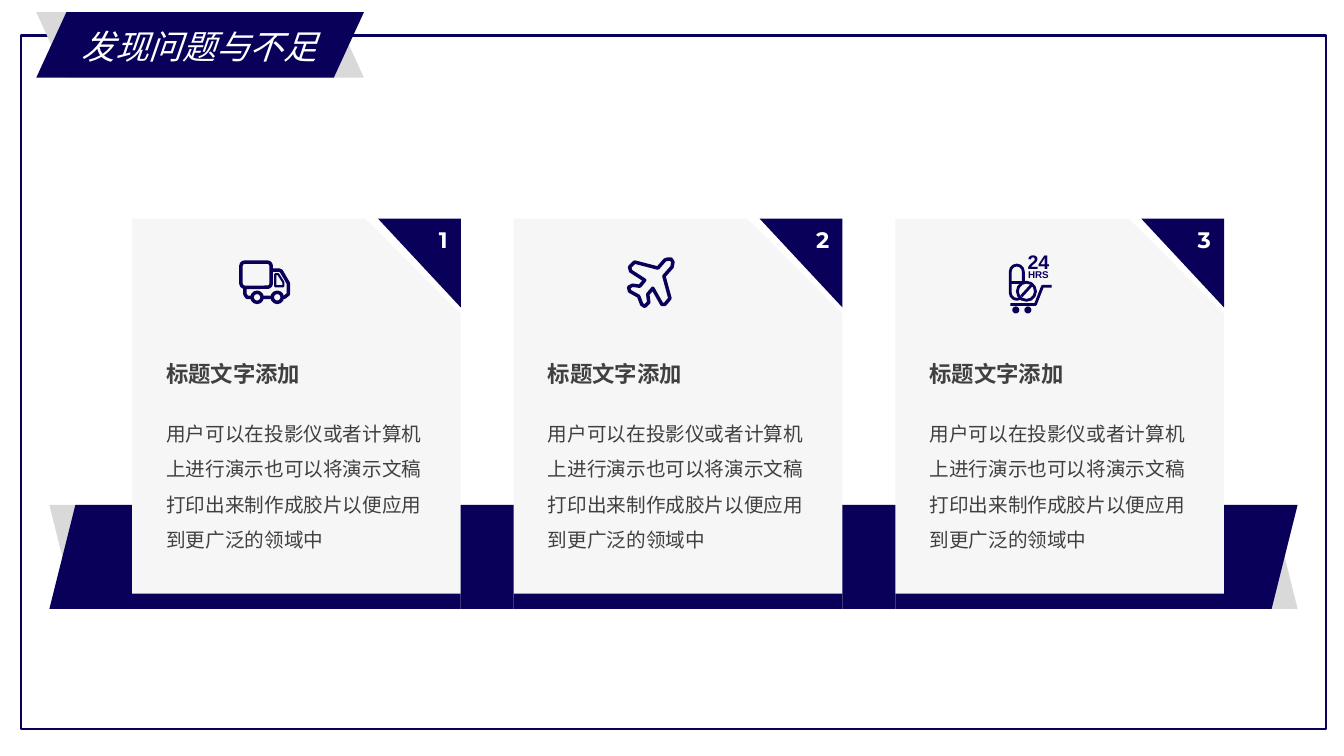
from lxml.etree import SubElement
from pptx import Presentation
from pptx.dml.color import RGBColor
from pptx.enum.shapes import MSO_SHAPE as Kind
from pptx.enum.text import MSO_ANCHOR as Anchor, MSO_AUTO_SIZE as Auto, PP_ALIGN as Align
from pptx.oxml.ns import qn
from pptx.util import Inches, Pt

NAVY = RGBColor(0x08, 0x00, 0x59)
GREY = RGBColor(0xD9, 0xD9, 0xD9)
PALE = RGBColor(0xF6, 0xF6, 0xF6)
DARK = RGBColor(0x40, 0x40, 0x40)
WHITE = RGBColor(0xFF, 0xFF, 0xFF)

HEAD = "标题文字添加"
BODY = "用户可以在投影仪或者计算机上进行演示也可以将演示文稿打印出来制作成胶片以便应用到更广泛的领域中"
SANS = "Noto Sans CJK SC"


def paint(shape, fill=None, line=None, width=1):
    shape.shadow.inherit = False
    if fill is None:
        shape.fill.background()
    else:
        shape.fill.solid()
        shape.fill.fore_color.rgb = fill
    if line is None:
        shape.line.fill.background()
    else:
        shape.line.color.rgb = line
        shape.line.width = Pt(width)
    return shape


def block(shapes, kind, x, y, w, h, adj=None, flip=False, **look):
    shape = shapes.add_shape(kind, Inches(x), Inches(y), Inches(w), Inches(h))
    if adj is not None:
        shape.adjustments[0] = adj
    if flip:
        shape._element.spPr.get_or_add_xfrm().set("flipH", "1")
    return paint(shape, **look)


def trace(shapes, x, y, spots, close=True, **look):
    """Draw straight lines through spots measured from (x, y)."""
    first, *rest = [(Inches(x + dx), Inches(y + dy)) for dx, dy in spots]
    pen = shapes.build_freeform(*first)
    pen.add_line_segments(rest, close=close)
    return paint(pen.convert_to_shape(), **look)


def write(shape, text, size, font=SANS, color=DARK, bold=False, italic=False,
          align=Align.LEFT, space=1.0, wrap=True, pad=(0.1, 0.05)):
    frame = shape.text_frame
    frame.word_wrap = wrap
    frame.auto_size = Auto.NONE
    frame.vertical_anchor = Anchor.TOP
    frame.margin_left = frame.margin_right = Inches(pad[0])
    frame.margin_top = frame.margin_bottom = Inches(pad[1])
    para = frame.paragraphs[0]
    para.alignment = align
    para.line_spacing = space
    run = para.add_run()
    run.text = text
    face = run.font
    face.size, face.bold, face.italic = Pt(size), bold, italic
    face.color.rgb = color
    face.name = font
    SubElement(face._element, qn("a:ea")).set("typeface", font)


def label(shapes, x, y, w, h, text, size, **style):
    box = shapes.add_textbox(Inches(x), Inches(y), Inches(w), Inches(h))
    write(box, text, size, **style)


def ribbon(shapes, x, y, w, h, adj):
    for fill, flip in ((GREY, True), (NAVY, False)):
        block(shapes, Kind.PARALLELOGRAM, x, y, w, h, adj, flip, fill=fill)


def header(slide, x, y, w, h):
    ribbon(slide.shapes, x, y, w, h, 0.46)
    title = slide.shapes.title
    title.left, title.top = Inches(x + 0.35), Inches(y + 0.09)
    title.width, title.height = Inches(2.56), Inches(0.5)
    write(title, "发现问题与不足", 24, font="Arial", color=WHITE, italic=True, wrap=False)
    # Bring the title in front of its ribbon
    slide.shapes._spTree.append(title._element)


def truck(shapes, x, y):
    pen = dict(line=NAVY, width=2.5)
    block(shapes, Kind.ROUNDED_RECTANGLE, x + 0.02, y + 0.02, 0.3, 0.25, 0.15, **pen)
    # Chassis, cab and window
    trace(shapes, x, y, [(0.06, 0.27), (0.06, 0.34), (0.08, 0.37), (0.45, 0.37),
                         (0.49, 0.34), (0.49, 0.23), (0.42, 0.11), (0.4, 0.1),
                         (0.32, 0.1)], close=False, **pen)
    trace(shapes, x, y, [(0.36, 0.14), (0.39, 0.14), (0.44, 0.22), (0.44, 0.26),
                         (0.36, 0.26)], line=NAVY, width=1.5)
    for dx in (0.13, 0.33):
        block(shapes, Kind.OVAL, x + dx, y + 0.32, 0.1, 0.1, fill=PALE, **pen)


def plane(shapes, x, y):
    trace(shapes, x, y, [
        (0.44, 0.02), (0.46, 0.05), (0.45, 0.1), (0.37, 0.19), (0.43, 0.41),
        (0.38, 0.47), (0.35, 0.47), (0.26, 0.31), (0.21, 0.37), (0.22, 0.45),
        (0.18, 0.49), (0.15, 0.47), (0.12, 0.39), (0.03, 0.34), (0.02, 0.3),
        (0.06, 0.28), (0.13, 0.29), (0.18, 0.23), (0.04, 0.14), (0.03, 0.1),
        (0.08, 0.05), (0.31, 0.11), (0.38, 0.03), (0.41, 0.02)], line=NAVY, width=2.5)


def cart(shapes, x, y):
    pen = dict(line=NAVY, width=2)
    # Pill and tablet
    block(shapes, Kind.ROUNDED_RECTANGLE, x + 0.02, y + 0.11, 0.13, 0.34, 0.5, **pen)
    trace(shapes, x, y, [(0.02, 0.28), (0.15, 0.28)], close=False, **pen)
    block(shapes, Kind.OVAL, x + 0.09, y + 0.28, 0.18, 0.18, fill=PALE, **pen)
    trace(shapes, x, y, [(0.13, 0.42), (0.23, 0.31)], close=False, **pen)
    # Rail and wheels
    trace(shapes, x, y, [(0.02, 0.5), (0.27, 0.5), (0.34, 0.32), (0.43, 0.32)],
          close=False, **pen)
    for dx in (0.04, 0.16):
        block(shapes, Kind.OVAL, x + dx, y + 0.52, 0.07, 0.07, fill=NAVY)
    for text, size, dy in (("24", 14, -0.04), ("HRS", 7, 0.15)):
        label(shapes, x + 0.15, y + dy, 0.3, 0.2, text, size, font="Arial", color=NAVY,
              bold=True, align=Align.CENTER, wrap=False, pad=(0, 0))


def card(shapes, x, y, w, h, num, icon, dx, dy):
    block(shapes, Kind.SNIP_1_RECTANGLE, x, y, w, h, 0.29, fill=PALE)
    block(shapes, Kind.RECTANGLE, x, y + h - 0.15, w, 0.15, fill=NAVY)
    # Numbered corner
    flag = trace(shapes, x + w, y, [(0, 0), (-0.82, 0), (0, 0.88)], fill=NAVY)
    write(flag, str(num), 16, font="Montserrat", color=WHITE, bold=True,
          align=Align.RIGHT, pad=(0.13, 0.07))
    label(shapes, x + 0.24, y + 1.85, 2.89, 1.45, BODY, 14, space=1.5)
    label(shapes, x + 0.24, y + 1.3, 2.4, 0.38, HEAD, 16, bold=True, space=1.2)
    icon(shapes, x + dx, y + dy)


def main():
    deck = Presentation()
    deck.slide_width, deck.slide_height = Inches(13.33), Inches(7.5)
    slide = deck.slides.add_slide(deck.slide_layouts[5])
    shapes = slide.shapes
    # Frame, title and band
    block(shapes, Kind.RECTANGLE, 0.21, 0.35, 12.94, 6.88, line=NAVY, width=1.75)
    header(slide, 0.36, 0.12, 3.25, 0.65)
    ribbon(shapes, 0.49, 5.01, 12.38, 1.03, 0.25)
    # Three cards at an equal pitch
    icons = ((truck, 1.06, 0.41), (plane, 1.12, 0.38), (cart, 1.12, 0.35))
    for i, (icon, dx, dy) in enumerate(icons):
        card(shapes, 1.31 + 3.785 * i, 2.17, 3.26, 3.87, i + 1, icon, dx, dy)
    deck.save("out.pptx")


if __name__ == "__main__":
    main()
